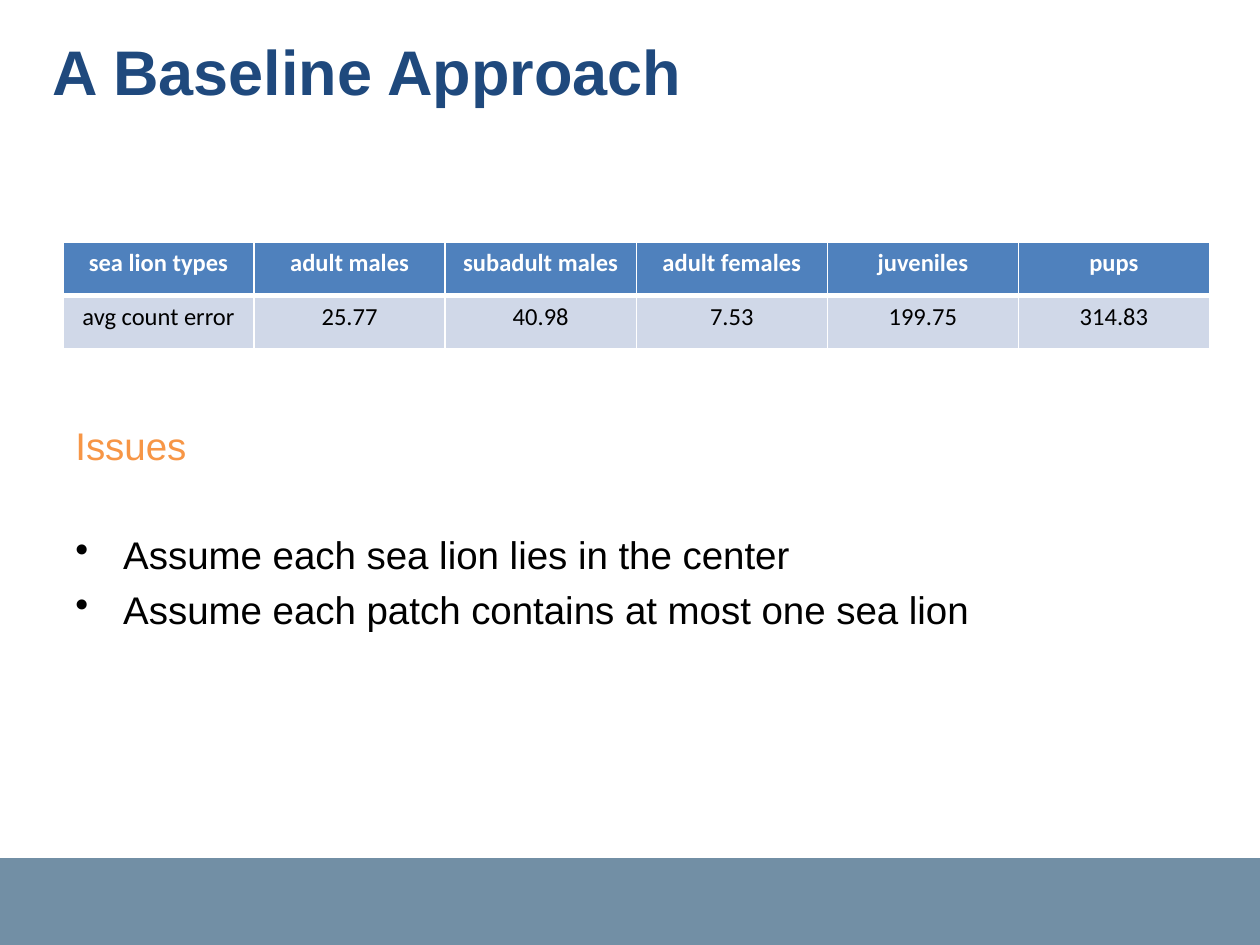
from dataclasses import dataclass

import pptx
import pptx.dml.color
import pptx.enum.shapes
import pptx.enum.text
import pptx.oxml
import pptx.oxml.ns
import pptx.util
from pptx.util import Inches

WHITE, BLACK = "FFFFFF", "000000"


@dataclass
class Line:
    text: str
    size: float
    color: str
    bold: bool = False
    bullet: bool = False
    space_before: float = 0


@dataclass
class RowStyle:
    fill: str
    color: str
    bold: bool
    bottom_width: float


def rgb(color: str) -> pptx.dml.color.RGBColor:
    return pptx.dml.color.RGBColor.from_string(color)


def style_font(font, name: str, size: float, color: str, bold: bool) -> None:
    font.name = name
    font.size = pptx.util.Pt(size)
    font.bold = bold
    font.color.rgb = rgb(color)


def add_bullet(p) -> None:
    """Give the paragraph a round bullet with a hanging indent."""
    pPr = p._p.get_or_add_pPr()
    pPr.set("marL", str(Inches(0.38)))
    pPr.set("indent", str(-Inches(0.38)))
    bullet = pptx.oxml.parse_xml(
        f'<a:buChar {pptx.oxml.ns.nsdecls("a")} char="•"/>')
    pPr.append(bullet)


def add_text(s, left: float, top: float, width: float, height: float,
             margin_top: float, lines: list[Line]) -> None:
    tf = s.shapes.add_textbox(Inches(left), Inches(top),
                              Inches(width), Inches(height)).text_frame
    tf.word_wrap = True
    tf.margin_top = Inches(margin_top)
    for i, line in enumerate(lines):
        p = tf.add_paragraph() if i else tf.paragraphs[0]
        p.text = line.text
        if line.bullet:
            add_bullet(p)
        if line.space_before:
            p.space_before = pptx.util.Pt(line.space_before)
        style_font(p.runs[0].font, "Arial", line.size, line.color, line.bold)


def set_border(cell, side: str, width: float) -> None:
    line = pptx.oxml.parse_xml(
        f'<a:{side} {pptx.oxml.ns.nsdecls("a")} w="{pptx.util.Pt(width)}">'
        f'<a:solidFill><a:srgbClr val="{WHITE}"/></a:solidFill></a:{side}>')
    cell._tc.get_or_add_tcPr().append(line)


def style_cell(cell, text: str, style: RowStyle, top_width: float) -> None:
    p = cell.text_frame.paragraphs[0]
    p.text = text
    p.alignment = pptx.enum.text.PP_ALIGN.CENTER
    style_font(p.runs[0].font, "Calibri", 14, style.color, style.bold)
    widths = {"lnL": 1, "lnR": 1, "lnT": top_width, "lnB": style.bottom_width}
    for side, width in widths.items():
        set_border(cell, side, width)
    cell.fill.solid()
    cell.fill.fore_color.rgb = rgb(style.fill)


def add_error_table(s) -> None:
    errors = {
        "sea lion types": "avg count error",
        "adult males": "25.77",
        "subadult males": "40.98",
        "adult females": "7.53",
        "juveniles": "199.75",
        "pups": "314.83",
    }
    rows = [
        (errors.keys(), RowStyle("4F81BD", WHITE, True, 3)),
        (errors.values(), RowStyle("D0D8E8", BLACK, False, 1)),
    ]
    table = s.shapes.add_table(len(rows), len(errors), Inches(0.5), Inches(1.92),
                               Inches(9.1), Inches(0.85)).table
    top_width = 1
    for r, (texts, style) in enumerate(rows):
        for c, text in enumerate(texts):
            style_cell(table.cell(r, c), text, style, top_width)
        top_width = style.bottom_width


def add_footer_band(s) -> None:
    sp = s.shapes.add_shape(pptx.enum.shapes.MSO_SHAPE.RECTANGLE,
                            0, Inches(6.81), Inches(10), Inches(0.69))
    sp.shadow.inherit = False
    sp.fill.solid()
    sp.fill.fore_color.rgb = rgb("728FA5")
    sp.line.fill.background()


def main() -> None:
    prs = pptx.Presentation()
    prs.slide_width, prs.slide_height = Inches(10), Inches(7.5)
    s = prs.slides.add_slide(prs.slide_layouts[6])
    add_footer_band(s)
    add_text(s, 0.32, 0.15, 9.38, 0.92, 0.11,
             [Line("A Baseline Approach", 36, "1F497D", bold=True)])
    add_text(s, 0.5, 3.27, 9.1, 3.43, 0.08, [
        Line("Issues", 22, "F79646"),
        Line("Assume each sea lion lies in the center", 22, BLACK,
             bullet=True, space_before=36),
        Line("Assume each patch contains at most one sea lion", 22, BLACK,
             bullet=True, space_before=5),
    ])
    add_error_table(s)
    prs.save("out.pptx")


if __name__ == "__main__":
    main()
